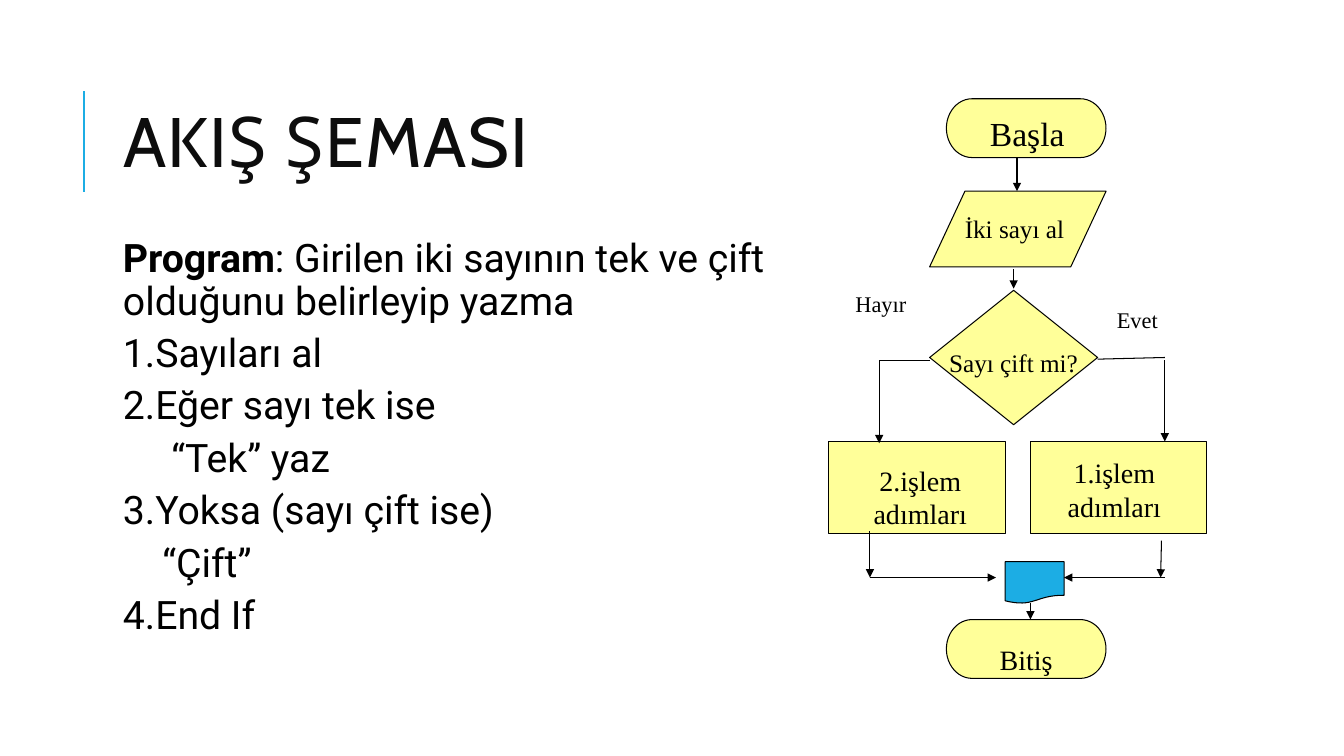
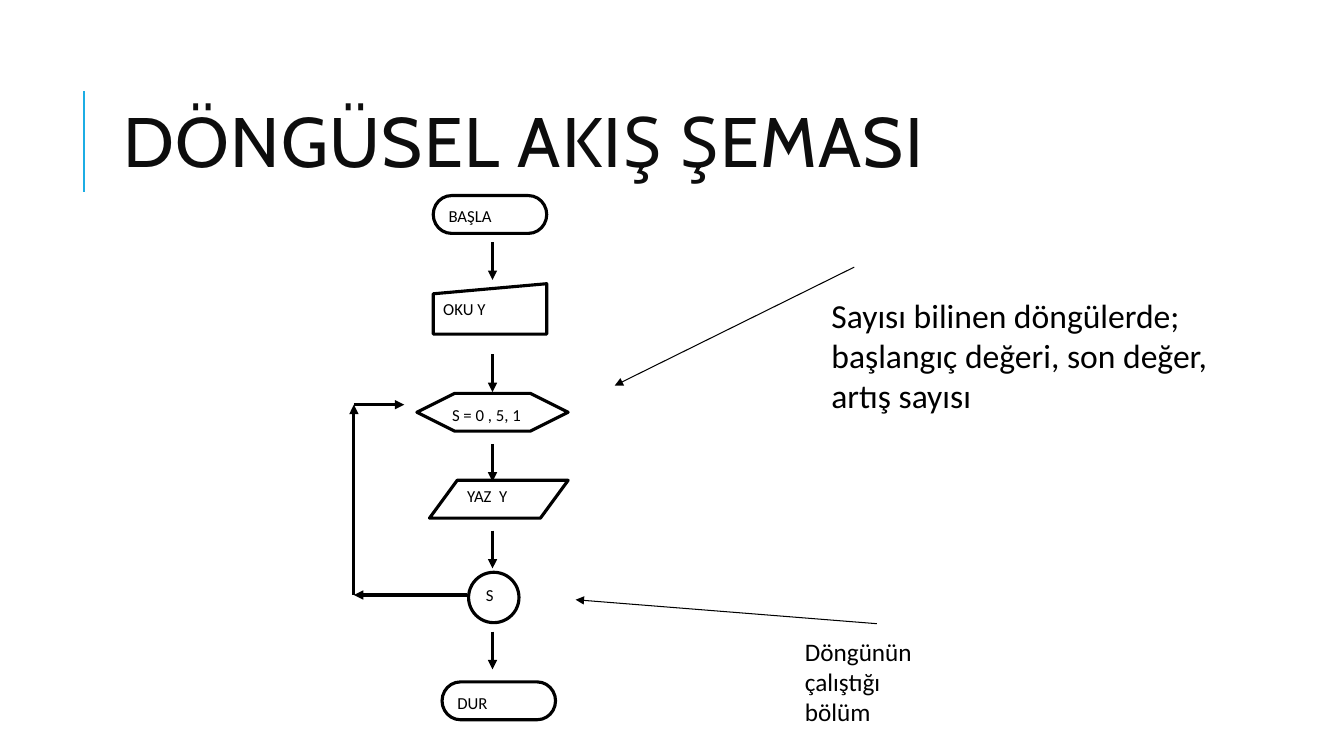
from dataclasses import dataclass

from lxml import etree
from pptx import Presentation
from pptx.dml.color import RGBColor
from pptx.enum.shapes import MSO_CONNECTOR, MSO_SHAPE
from pptx.enum.text import MSO_ANCHOR, PP_ALIGN
from pptx.oxml.ns import qn
from pptx.util import Inches, Pt

STRAIGHT = MSO_CONNECTOR.STRAIGHT
TERMINATOR = MSO_SHAPE.FLOWCHART_TERMINATOR
DATA = MSO_SHAPE.FLOWCHART_DATA
DECISION = MSO_SHAPE.FLOWCHART_DECISION
DOCUMENT = MSO_SHAPE.FLOWCHART_DOCUMENT
MANUAL_INPUT = MSO_SHAPE.FLOWCHART_MANUAL_INPUT
JUNCTION = MSO_SHAPE.FLOWCHART_CONNECTOR
PROCESS = MSO_SHAPE.RECTANGLE
HEXAGON = MSO_SHAPE.HEXAGON
LEFT, CENTER = PP_ALIGN.LEFT, PP_ALIGN.CENTER
TOP, MIDDLE = MSO_ANCHOR.TOP, MSO_ANCHOR.MIDDLE

SLIDE_WIDTH, SLIDE_HEIGHT = 13.33, 7.5


@dataclass(frozen=True)
class Theme:
    """Colours, type styles and line widths of the deck."""

    ink: str = "000000"
    title_ink: str = "0D0D0D"
    accent: str = "1CADE4"
    step: str = "FFFF99"
    paper: str = "FFFFFF"
    title: tuple = ("Cabin", 50)
    body: tuple = ("Roboto", 28)
    start: tuple = ("Times New Roman", 24)
    process: tuple = ("Times New Roman", 20)
    question: tuple = ("Times New Roman", 18)
    branch: tuple = ("Times New Roman", 16)
    loop_step: tuple = ("Calibri", 12)
    note: tuple = ("Calibri", 24)
    small_note: tuple = ("Calibri", 18)
    thin: float = 0.75
    rule: float = 1.5
    thick: float = 2.25


THEME = Theme()


@dataclass(frozen=True)
class Grid:
    """A region with square cells, measured in inches."""

    left: float
    top: float
    cell: float

    def point(self, column, row):
        """Return the slide position of a grid point."""
        return Inches(self.left + column * self.cell), Inches(self.top + row * self.cell)

    def box(self, column, row, columns, rows):
        """Return the slide position and size of a block of cells."""
        return *self.point(column, row), Inches(columns * self.cell), Inches(rows * self.cell)


TITLE_GRID = Grid(SLIDE_WIDTH / 16, 0.64, 0.1)
BODY_GRID = Grid(1.17, 2.32, 0.1)
DECISION_GRID = Grid(8.22, 0.98, 1 / 12)
LOOP_GRID = Grid(3.51, 1.94, 1 / 8)
NOTES_GRID = Grid(5.71, 2.65, 1 / 8)


def apply(target, formats):
    """Set each format value on the target."""
    for key, value in formats.items():
        setattr(target, key, value)


def write(paragraph, text, style, color=THEME.ink, bold=False):
    """Add one styled run to a paragraph."""
    run = paragraph.add_run()
    run.text = text
    name, size = style
    apply(run.font, {"name": name, "size": Pt(size), "bold": bold})
    run.font.color.rgb = RGBColor.from_string(color)
    return run


def add_frame(slide, box, anchor=TOP):
    """Add an empty wrapping text frame."""
    frame = slide.shapes.add_textbox(*box).text_frame
    apply(frame, {"word_wrap": True, "vertical_anchor": anchor})
    return frame


def add_label(slide, box, lines, style, align=LEFT):
    """Add a text block with one paragraph for each line."""
    frame = add_frame(slide, box)
    for index, line in enumerate(lines):
        paragraph = frame.add_paragraph() if index else frame.paragraphs[0]
        paragraph.alignment = align
        write(paragraph, line, style)


def add_step(slide, kind, box, fill, width, text=""):
    """Add one outlined flowchart symbol."""
    step = slide.shapes.add_shape(kind, *box)
    step.shadow.inherit = False
    step.fill.solid()
    step.fill.fore_color.rgb = RGBColor.from_string(fill)
    step.line.color.rgb = RGBColor.from_string(THEME.ink)
    step.line.width = Pt(width)
    if kind == HEXAGON:
        step.adjustments[0] = 1.0
    if text:
        step.text_frame.vertical_anchor = TOP
        paragraph = step.text_frame.paragraphs[0]
        paragraph.alignment = LEFT
        write(paragraph, text, THEME.loop_step)


def add_line(slide, start, end, width, color=THEME.ink, arrow=True):
    """Add a straight line, by default with an arrowhead at its end."""
    line = slide.shapes.add_connector(STRAIGHT, *start, *end)
    line.line.color.rgb = RGBColor.from_string(color)
    line.line.width = Pt(width)
    if arrow:
        etree.SubElement(line.line._get_or_add_ln(), qn("a:tailEnd"), type="triangle")
    etree.SubElement(line._element.spPr, qn("a:effectLst"))


def add_arrows(slide, grid, routes, width):
    """Add an arrow for each pair of grid points."""
    for start, end in routes:
        add_line(slide, grid.point(*start), grid.point(*end), width)


def add_title(slide, grid, text):
    """Place the accent rule and the title beside it."""
    add_line(slide, grid.point(0, 12.6), grid.point(0, 2.6), THEME.rule, THEME.accent, False)
    paragraph = add_frame(slide, grid.box(2.9, 0, 106.3, 16.4), MIDDLE).paragraphs[0]
    paragraph.line_spacing = 0.8
    run = write(paragraph, text, THEME.title, THEME.title_ink)
    run._r.get_or_add_rPr().set("spc", "100")


def add_algorithm(slide, grid):
    """Place the algorithm in words."""
    steps = [
        (0, "Program", ": Girilen iki sayının tek ve çift olduğunu belirleyip yazma"),
        (0, "", "1.Sayıları al"),
        (0, "", "2.Eğer sayı tek ise"),
        (0.48, "", "“Tek” yaz"),
        (0, "", "3.Yoksa (sayı çift ise)"),
        (0.39, "", "“Çift”"),
        (0, "", "4.End If"),
    ]
    frame = add_frame(slide, grid.box(0, 0, 68.4, 49.7))
    inset = Inches(0.05)
    apply(frame, {"margin_left": inset, "margin_right": inset})
    for index, (indent, lead, text) in enumerate(steps):
        paragraph = frame.add_paragraph() if index else frame.paragraphs[0]
        apply(paragraph, {"line_spacing": 0.9, "space_before": Pt(5.2 if index else 0),
                          "space_after": Pt(2)})
        if indent:
            paragraph._p.get_or_add_pPr().set("marL", str(Inches(indent)))
        if lead:
            write(paragraph, lead, THEME.body, bold=True)
        write(paragraph, text, THEME.body)


def add_decision_chart(slide, grid):
    """Place the odd or even flowchart."""
    steps = [
        (TERMINATOR, (14, 0, 19, 7), THEME.step),
        (DATA, (12, 11, 21, 9), THEME.step),
        (DECISION, (12, 22.8, 20, 16), THEME.step),
        (PROCESS, (0, 40.8, 21, 11), THEME.step),
        (PROCESS, (24, 40.8, 21, 11), THEME.step),
        (DOCUMENT, (21, 55.1, 7, 5), THEME.accent),
        (TERMINATOR, (14, 62, 19, 7), THEME.step),
    ]
    branches = [((6, 31.1), (12, 31.1)), ((32, 31), (40, 30.8))]
    routes = [
        ((22.4, 7.1), (22.4, 11)),
        ((22, 20.3), (22, 22.6)),
        ((6, 31.1), (6, 41)),
        ((40, 31.1), (40, 40.8)),
        ((4.9, 51.5), (4.9, 57)),
        ((39.6, 52.6), (39.5, 57)),
        ((4.9, 57), (19.9, 57)),
        ((40, 57), (28, 57)),
        ((24, 60), (24, 62)),
    ]
    labels = [
        ("Başla", (18, 1.1, 15, 6), THEME.start, LEFT),
        ("İki sayı al", (15, 13.1, 15, 4.8), THEME.question, LEFT),
        ("Sayı çift mi?", (13, 29, 18, 4.8), THEME.question, CENTER),
        ("Hayır", (2, 22.2, 13, 4.4), THEME.branch, LEFT),
        ("Evet", (33.1, 24.1, 13, 4.4), THEME.branch, LEFT),
        ("2.işlem adımları", (1.9, 42.8, 18, 9.2), THEME.process, CENTER),
        ("1.işlem adımları", (25, 41.9, 18, 9.2), THEME.process, CENTER),
        ("Bitiş", (15, 64.1, 17, 5.2), THEME.process, CENTER),
    ]
    for kind, cells, fill in steps:
        add_step(slide, kind, grid.box(*cells), fill, THEME.thin)
    for start, end in branches:
        add_line(slide, grid.point(*start), grid.point(*end), THEME.thin, arrow=False)
    add_arrows(slide, grid, routes, THEME.thin)
    for text, cells, style, align in labels:
        add_label(slide, grid.box(*cells), [text], style, align)


def add_loop_chart(slide, grid):
    """Place the loop flowchart with its return path."""
    steps = [
        (TERMINATOR, (6.3, 0, 9, 3), "BAŞLA"),
        (MANUAL_INPUT, (6.3, 7, 9, 4), "OKU Y"),
        (HEXAGON, (5, 15.7, 12, 3), "S = 0 , 5, 1"),
        (DATA, (6, 22.6, 11, 3), "YAZ  Y"),
        (JUNCTION, (9.1, 29.9, 4, 4), "S"),
        (TERMINATOR, (7, 38.6, 9, 3), "DUR"),
    ]
    downward = [((11, row), (11, row + 3)) for row in (3.7, 12.6, 19.7, 26.6, 34.6)]
    return_path = [(9, 31.7), (0, 31.7), (0, 16.6), (4, 16.6)]
    for kind, cells, text in steps:
        add_step(slide, kind, grid.box(*cells), THEME.paper, THEME.thick, text)
    add_arrows(slide, grid, downward + list(zip(return_path, return_path[1:])), THEME.thick)


def add_loop_notes(slide, grid):
    """Place the two remarks and the arrows to the loop."""
    counter = ["Sayısı bilinen döngülerde; başlangıç değeri, son değer, artış sayısı"]
    section = ["Döngünün çalıştığı", "bölüm"]
    add_arrows(slide, grid, [((22.1, 0), (3.1, 9.4)), ((23.9, 28.3), (0, 26.4))], THEME.thin)
    add_label(slide, grid.box(19.5, 1.8, 33.9, 10.5), counter, THEME.note)
    add_label(slide, grid.box(17.4, 28.9, 15, 4.6), section, THEME.small_note)


def main():
    """Build both slides and save the deck."""
    deck = Presentation()
    apply(deck, {"slide_width": Inches(SLIDE_WIDTH), "slide_height": Inches(SLIDE_HEIGHT)})
    pages = [
        ("AKIŞ ŞEMASI", [(add_algorithm, BODY_GRID), (add_decision_chart, DECISION_GRID)]),
        ("DÖNGÜSEL AKIŞ ŞEMASI", [(add_loop_chart, LOOP_GRID), (add_loop_notes, NOTES_GRID)]),
    ]
    for title, regions in pages:
        slide = deck.slides.add_slide(deck.slide_layouts[6])
        add_title(slide, TITLE_GRID, title)
        for add_region, grid in regions:
            add_region(slide, grid)
    deck.save("out.pptx")


if __name__ == "__main__":
    main()
